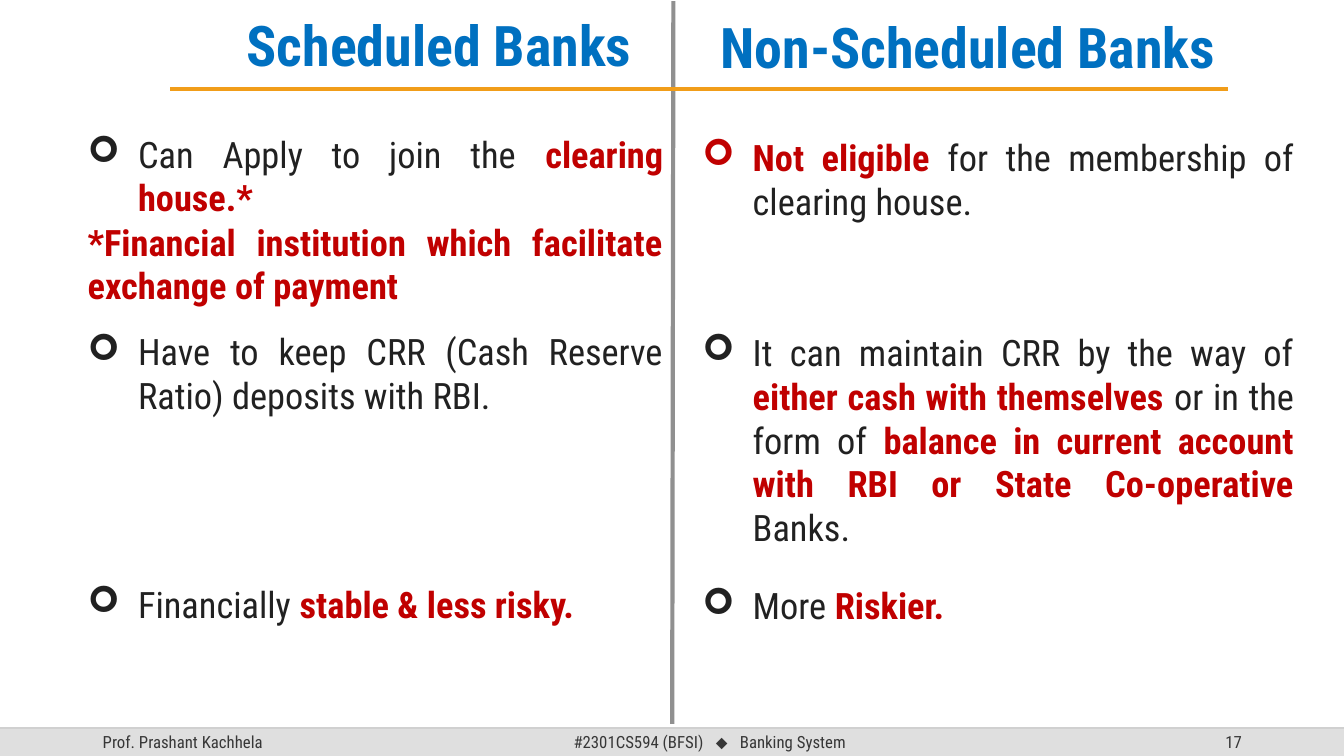
from lxml import etree
from pptx import Presentation
from pptx.dml.color import RGBColor
from pptx.enum.shapes import MSO_CONNECTOR as Connector, MSO_SHAPE as Shape
from pptx.enum.text import MSO_ANCHOR as Anchor, MSO_AUTO_SIZE as AutoSize, PP_ALIGN as Align
from pptx.oxml.ns import qn
from pptx.util import Cm, Pt

BLUE = RGBColor(0x00, 0x70, 0xC0)
RED = RGBColor(0xC0, 0x00, 0x00)
INK = RGBColor(0x21, 0x21, 0x21)
FOOTER_INK = RGBColor(0x37, 0x37, 0x37)
FOOTER_FILL = RGBColor(0xDF, 0xDF, 0xDF)
FOOTER_EDGE = RGBColor(0xBF, 0xBF, 0xBF)
GREY = RGBColor(0x90, 0x90, 0x90)
ORANGE = RGBColor(0xF1, 0x9D, 0x19)
FONT = "Roboto Condensed"

deck = Presentation()
deck.slide_width, deck.slide_height = Cm(33.87), Cm(19.05)
slide = deck.slides.add_slide(deck.slide_layouts[6])


def add_text(runs, left, top, width, height, size=26, align=Align.JUSTIFY,
             anchor=Anchor.TOP, wrap=True, grow=True, bullet=False):
    frame = slide.shapes.add_textbox(Cm(left), Cm(top), Cm(width), Cm(height)).text_frame
    frame.word_wrap = wrap
    frame.auto_size = AutoSize.SHAPE_TO_FIT_TEXT if grow else AutoSize.NONE
    frame.vertical_anchor = anchor
    paragraph = frame.paragraphs[0]
    paragraph.alignment = align
    if bullet:
        props = paragraph._p.get_or_add_pPr()
        props.set("marL", str(Cm(1.27)))
        props.set("indent", str(Cm(-1.27)))
        etree.SubElement(props, qn("a:buFont")).set("typeface", "Wingdings")
        etree.SubElement(props, qn("a:buChar")).set("char", "➢")
    for words, style in runs:
        run = paragraph.add_run()
        run.text = words
        run.font.size = Pt(size)
        run.font.name = style.get("font", FONT)
        run.font.bold = style.get("bold", False)
        run.font.color.rgb = style.get("color", INK)
        if "spacing" in style:
            run._r.get_or_add_rPr().set("spc", str(style["spacing"]))


def add_line(x1, y1, x2, y2, color, width):
    line = slide.shapes.add_connector(Connector.STRAIGHT, Cm(x1), Cm(y1), Cm(x2), Cm(y2))
    line.line.color.rgb = color
    line.line.width = Pt(width)
    etree.SubElement(line._element.spPr, qn("a:effectLst"))
    return line


FOOTER_TOP, FOOTER_HEIGHT = 18.34, 0.71
footer = slide.shapes.add_shape(Shape.RECTANGLE, 0, Cm(FOOTER_TOP), Cm(33.87), Cm(FOOTER_HEIGHT))
footer.shadow.inherit = False
footer.fill.solid()
footer.fill.fore_color.rgb = FOOTER_FILL
footer.line.fill.background()
footer_edge = add_line(0, FOOTER_TOP, 33.87, FOOTER_TOP, FOOTER_EDGE, 1)
edge_color = footer_edge._element.spPr.find(".//" + qn("a:srgbClr"))
etree.SubElement(edge_color, qn("a:alpha")).set("val", "70000")

small = {"color": FOOTER_INK}
gap = (" ", {"color": FOOTER_INK, "spacing": 600})
diamond = ("⬥", {"color": FOOTER_INK, "font": "Arial"})
course = [("#2301CS594 (BFSI)", small), gap, diamond, gap, ("Banking System", small)]
for runs, left, width, align in [
    ([("Prof. Prashant Kachhela", small)], 2.34, 7.62, Align.LEFT),
    ([("17", small)], 23.93, 7.62, Align.RIGHT),
    (course, 11.23, 13.31, Align.CENTER),
]:
    add_text(runs, left, FOOTER_TOP, width, FOOTER_HEIGHT, size=12, align=align,
             anchor=Anchor.MIDDLE, grow=False)

add_line(16.97, 0.03, 16.94, 18.24, GREY, 3)
add_line(4.29, 2.24, 30.94, 2.24, ORANGE, 3)

heading = {"color": BLUE, "bold": True}
for title, left, top, width in [
    ("Scheduled Banks", 5.97, 0.15, 10.31),
    ("Non-Scheduled Banks", 17.91, 0.2, 13.11),
]:
    add_text([(title, heading)], left, top, width, 1.96, size=40, align=Align.LEFT, wrap=False)

plain = {}
strong = {"color": RED, "bold": True}
scheduled = [
    (3.2, 2.49, True, [("Can Apply to join the ", plain), ("clearing house.*", strong)]),
    (5.41, 2.49, False,
     [("*Financial institution which facilitate exchange of payment", strong)]),
    (8.18, 2.49, True,
     [("Have to keep CRR (Cash Reserve Ratio) deposits with RBI.", plain)]),
    (14.55, 1.37, True, [("Financially ", plain), ("stable & less risky.", strong)]),
]
non_scheduled = [
    (3.28, 2.49, True,
     [("Not eligible ", strong), ("for the membership of clearing house.", plain)]),
    (8.2, 5.82, True,
     [("It can maintain CRR by the way of ", plain),
      ("either cash with themselves ", strong),
      ("or in the form of ", plain),
      ("balance in current account with RBI or State Co-operative ", strong),
      ("Banks.", plain)]),
    (14.58, 1.37, True, [("More ", plain), ("Riskier.", strong)]),
]
for left, width, points in [(1.96, 15.01, scheduled), (17.45, 15.42, non_scheduled)]:
    for top, height, bullet, runs in points:
        add_text(runs, left, top, width, height, bullet=bullet)

deck.save("out.pptx")
